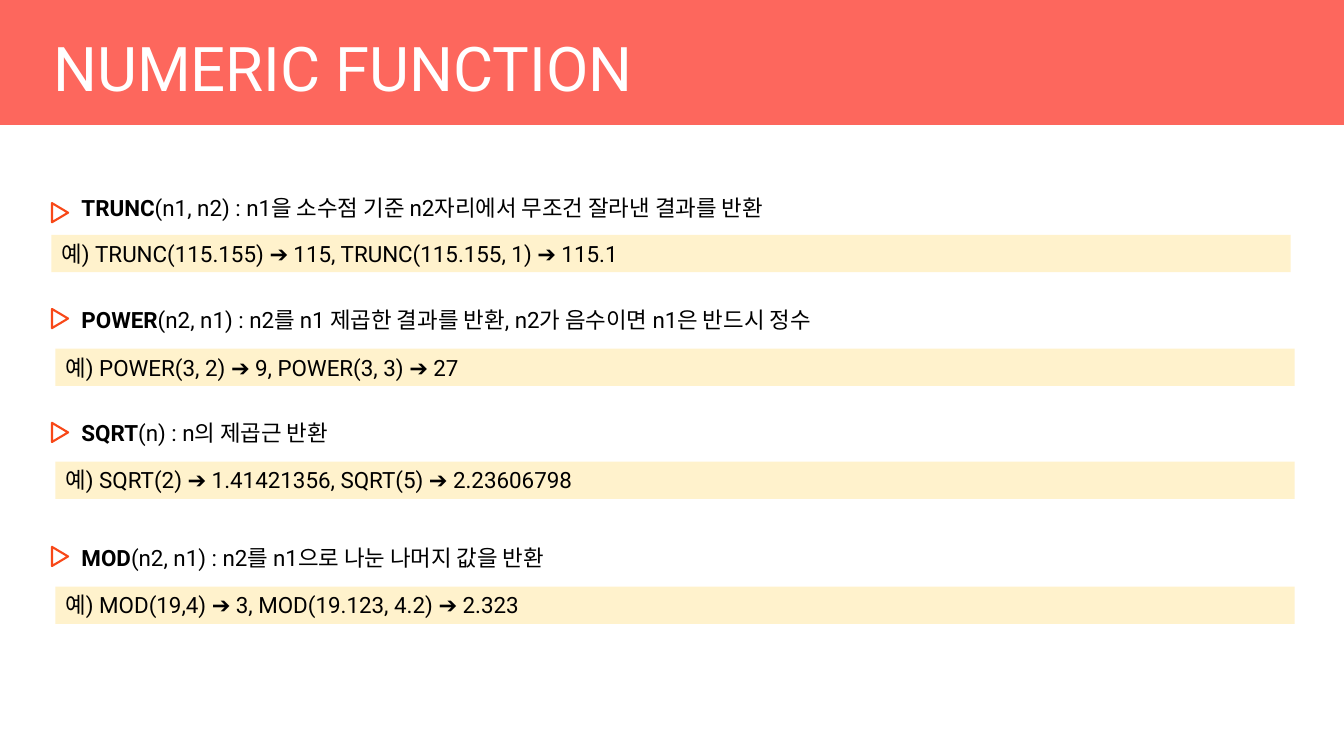
from pptx import Presentation
from pptx.dml.color import RGBColor
from pptx.enum import shapes, text
from pptx.util import Inches, Pt

# Name, rest of the definition, example, then tops of definition, marker and example
FUNCTIONS = [
    ("TRUNC", "(n1, n2) : n1을 소수점 기준 n2자리에서 무조건 잘라낸 결과를 반환",
     "예) TRUNC(115.155) ➔ 115, TRUNC(115.155, 1) ➔ 115.1", 1.88, 2.03, 2.33),
    ("POWER", "(n2, n1) : n2를 n1 제곱한 결과를 반환, n2가 음수이면 n1은 반드시 정수",
     "예) POWER(3, 2) ➔ 9, POWER(3, 3) ➔ 27", 2.99, 3.08, 3.46),
    ("SQRT", "(n) : n의 제곱근 반환",
     "예) SQRT(2) ➔ 1.41421356, SQRT(5) ➔ 2.23606798", 4.11, 4.21, 4.58),
    ("MOD", "(n2, n1) : n2를 n1으로 나눈 나머지 값을 반환",
     "예) MOD(19,4) ➔ 3, MOD(19.123, 4.2) ➔ 2.323", 5.35, 5.44, 5.82),
]


def color(value):
    return RGBColor.from_string(value)


def add_run(paragraph, content, size=16, fill="000000", bold=False):
    run = paragraph.add_run()
    run.text = content
    run.font.name = "Roboto"
    run.font.size = Pt(size)
    run.font.bold = bold
    run.font.color.rgb = color(fill)


def add_textbox(slide, left, top, width, height, anchor=text.MSO_ANCHOR.TOP):
    """Add a wrapping text box and return its first paragraph."""
    frame = slide.shapes.add_textbox(
        Inches(left), Inches(top), Inches(width), Inches(height)).text_frame
    frame.word_wrap = True
    frame.vertical_anchor = anchor
    return frame.paragraphs[0]


def add_shape(slide, kind, left, top, width, height, fill, line=None):
    shape = slide.shapes.add_shape(
        kind, Inches(left), Inches(top), Inches(width), Inches(height))
    shape.shadow.inherit = False
    shape.fill.solid()
    shape.fill.fore_color.rgb = color(fill)
    if line:
        shape.line.color.rgb = color(line)
        shape.line.width = Pt(1.5)
    else:
        shape.line.fill.background()
    return shape


def add_header(slide, title):
    add_shape(slide, shapes.MSO_SHAPE.RECTANGLE, 0, 0, 13.33, 1.24, "FD675D")
    paragraph = add_textbox(slide, 0.43, 0.3, 11.5, 0.78, text.MSO_ANCHOR.BOTTOM)
    add_run(paragraph, title, size=44, fill="FFFFFF")


def add_definition(slide, name, description, top, marker_top):
    paragraph = add_textbox(slide, 0.71, top, 9.25, 0.37)
    add_run(paragraph, name, bold=True)
    add_run(paragraph, description)
    marker = add_shape(slide, shapes.MSO_SHAPE.FLOWCHART_EXTRACT,
                       0.5, marker_top, 0.19, 0.16, "FFFFFF", line="F84818")
    marker.rotation = 90


def add_example(slide, example, left, top):
    bar = add_shape(slide, shapes.MSO_SHAPE.RECTANGLE, left, top, 12.29, 0.37, "FFF2CC")
    frame = bar.text_frame
    frame.word_wrap = True
    frame.vertical_anchor = text.MSO_ANCHOR.TOP
    paragraph = frame.paragraphs[0]
    paragraph.alignment = text.PP_ALIGN.LEFT
    add_run(paragraph, example)


def main():
    presentation = Presentation()
    presentation.slide_width = Inches(13.33)
    presentation.slide_height = Inches(7.5)
    slide = presentation.slides.add_slide(presentation.slide_layouts[6])

    # Title band
    add_header(slide, "NUMERIC FUNCTION")

    # Functions, each with its example; the first bar sits slightly further left
    for index, (name, description, example, top, marker_top, bar_top) in enumerate(FUNCTIONS):
        add_definition(slide, name, description, top, marker_top)
        add_example(slide, example, 0.55 if index else 0.51, bar_top)

    presentation.save("out.pptx")


if __name__ == "__main__":
    main()
